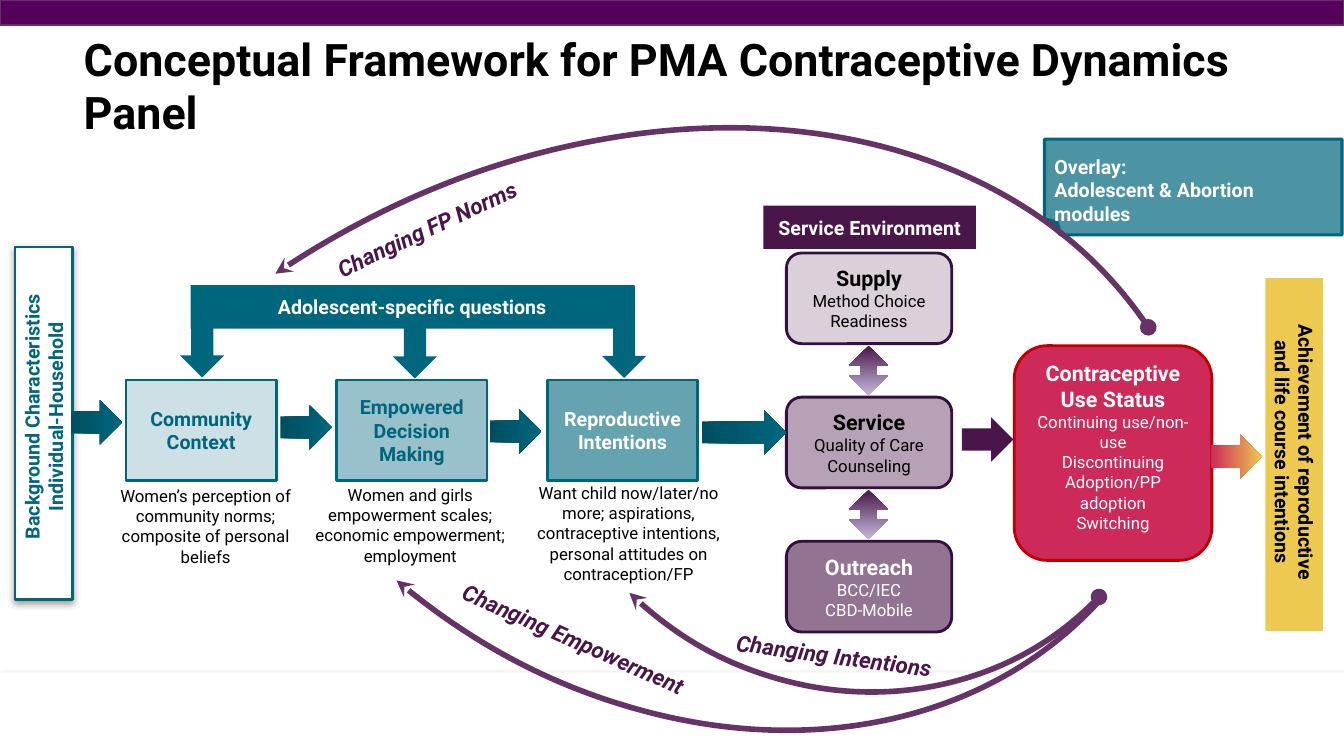
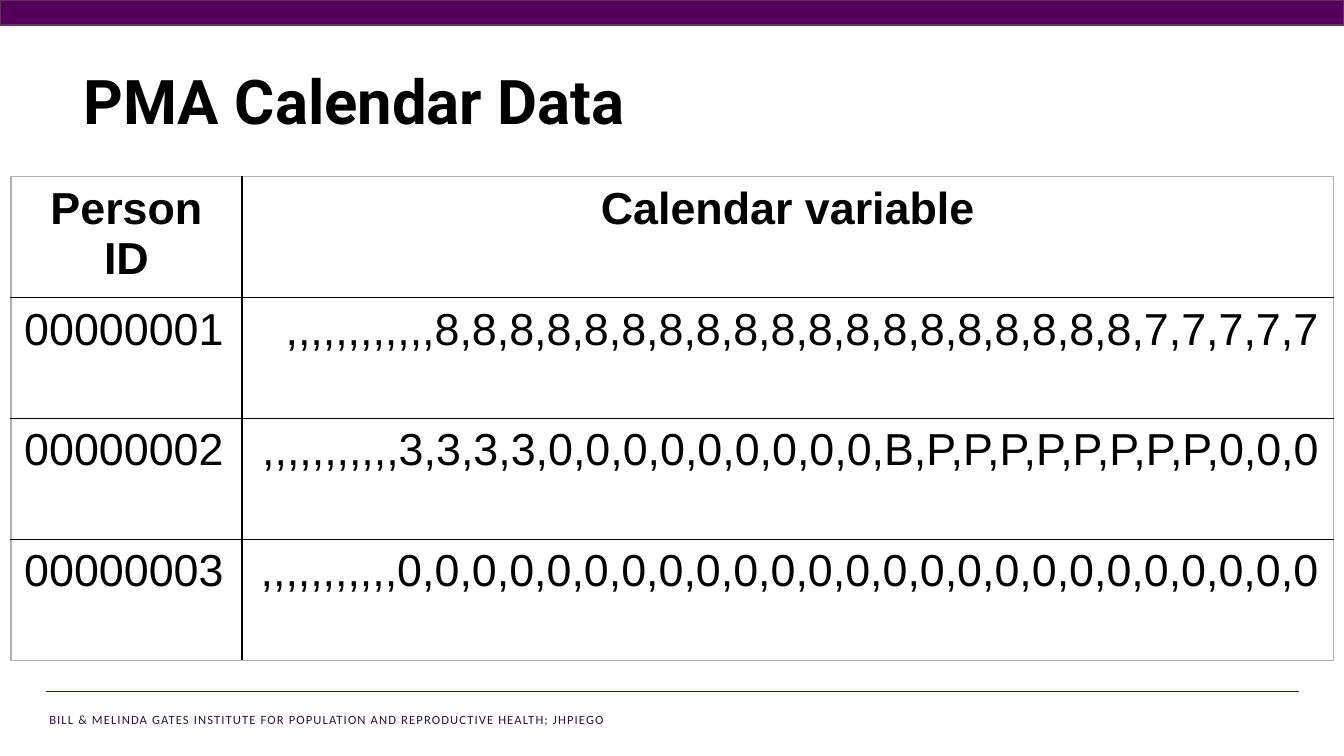
import lxml.etree
import pptx
import pptx.dml.color
import pptx.enum.shapes
import pptx.enum.text
import pptx.oxml.ns
import pptx.util

RGB = pptx.dml.color.RGBColor
KIND = pptx.enum.shapes.MSO_SHAPE
ALIGN = pptx.enum.text.PP_ALIGN
ANCHOR = pptx.enum.text.MSO_ANCHOR
Pt = pptx.util.Pt
Inches = pptx.util.Inches
qn = pptx.oxml.ns.qn

BLACK = RGB(0, 0, 0)
WHITE = RGB(0xFF, 0xFF, 0xFF)
GRAY = RGB(0xB2, 0xB2, 0xB2)
BAND = RGB(0x55, 0x01, 0x5B)
RIM = RGB(0x65, 0x31, 0x65)
TEAL = RGB(0x00, 0x66, 0x7D)
DEEP = RGB(0x00, 0x4E, 0x60)
PLUM = RGB(0x4A, 0x16, 0x4A)
DARK = RGB(0x33, 0x0F, 0x42)
RULE = RGB(0x41, 0x10, 0x44)
LILAC = RGB(0xC3, 0xB9, 0xD9)
CURVE = RGB(0x66, 0x33, 0x66)
ROSE = RGB(0xCD, 0x29, 0x59)
RED = RGB(0xC0, 0x00, 0x00)
GOLD = RGB(0xED, 0xC9, 0x50)

STATUS = ("Contraceptive Use Status\nContinuing use/non-use\nDiscontinuing\n"
          "Adoption/PP adoption\nSwitching")
STAGES = [
    ("Community\nContext", 20, TEAL),
    ("Empowered Decision Making", 40, TEAL),
    ("Reproductive Intentions", 60, WHITE),
]
NOTES = [
    ((1.13, 4.82, 1.82, 0.82),
     "Women’s perception of community norms; composite of personal\nbeliefs"),
    ((3.02, 4.81, 2.1, 0.67),
     "Women and girls empowerment scales; economic empowerment; employment"),
    ((5.15, 4.79, 2.17, 0.67),
     "Want child now/later/no more; aspirations, contraceptive intentions, "
     "personal attitudes on contraception/FP"),
]
CARE = [
    ("Supply\nMethod Choice\nReadiness", 20, BLACK),
    ("Service\nQuality of Care\nCounseling", 40, BLACK),
    ("Outreach\nBCC/IEC\nCBD-Mobile", 60, WHITE),
]
FLOWS = [
    ((0.7, 3.97, 0.51, 0.44), (DEEP, TEAL)),
    ((2.78, 4.02, 0.51, 0.44), (DEEP, TEAL)),
    ((4.86, 4.06, 0.51, 0.44), (DEEP, TEAL)),
    ((6.96, 4.07, 0.84, 0.44), (DEEP, TEAL)),
    ((9.54, 4.14, 0.51, 0.44), PLUM),
    ((12.01, 4.31, 0.51, 0.44), (ROSE, GOLD)),
]
DROPS = [(1.69, 3.21, 0.63, 0.44), (3.86, 3.28, 0.51, 0.44), (5.73, 3.07, 0.92, 0.44)]
LABELS = [
    ("Changing FP Norms", (2.98, 2.13, 2.55, 0.37), 334.9),
    ("Changing Empowerment", (4.38, 6.2, 2.56, 0.4), 23.9),
    ("Changing Intentions", (7.15, 6.37, 2.24, 0.3), 7.8),
]
SIDES = [
    ("Background Characteristics\nIndividual-Household", (-1.1, 3.85, 3.07, 0.57), 270, TEAL),
    ("Achievement of reproductive and life course intentions",
     (11.3, 4.2, 3.07, 0.57), 90, BLACK),
]
ROWS = [
    ("Person ID", "Calendar variable"),
    ("00000001", ",,,,,,,,,,,,8,8,8,8,8,8,8,8,8,8,8,8,8,8,8,8,8,8,8,7,7,7,7,7"),
    ("00000002", ",,,,,,,,,,,3,3,3,3,0,0,0,0,0,0,0,0,0,B,P,P,P,P,P,P,P,P,0,0,0"),
    ("00000003", ",,,,,,,,,,,0,0,0,0,0,0,0,0,0,0,0,0,0,0,0,0,0,0,0,0,0,0,0,0,0"),
]
CREDIT = "BILL & MELINDA GATES INSTITUTE FOR POPULATION AND REPRODUCTIVE HEALTH; JHPIEGO"


def node(top, tag, **attrs):
    return lxml.etree.SubElement(top, qn(tag), attrs)


def place(at):
    return [Inches(n) for n in at]


def write(frame, text, size=14, rest=None, color=BLACK, bold=True, slant=False,
          font="Roboto", align=ALIGN.CENTER, space=None):
    frame.text = text
    for i, para in enumerate(frame.paragraphs):
        para.alignment = align
        for run in para.runs:
            face = run.font
            face.name = font
            face.size = Pt(rest if i and rest else size)
            face.bold = bold and not (i and rest)
            face.italic = slant
            face.color.rgb = color
            if space:
                run.font._element.set("spc", space)


def inset(frame, left, top, right, low):
    frame.margin_left, frame.margin_top = Inches(left), Inches(top)
    frame.margin_right, frame.margin_bottom = Inches(right), Inches(low)


def draw(slide, kind, at, fill=None, alpha=None, line=None, width=2, turn=0,
         angle=0, shade=False, text=None, anchor=ANCHOR.MIDDLE, **style):
    shape = slide.shapes.add_shape(kind, *place(at))
    shape.rotation = turn
    shape.shadow.inherit = False
    if fill is None:
        shape.fill.background()
    elif isinstance(fill, RGB):
        shape.fill.solid()
        shape.fill.fore_color.rgb = fill
    else:
        shape.fill.gradient()
        shape.fill.gradient_angle = angle
        for stop, color, spot in zip(shape.fill.gradient_stops, fill, (0, 1)):
            stop.color.rgb = color
            stop.position = spot
    props = shape.element.spPr
    if alpha:
        node(props.find(qn("a:solidFill"))[0], "a:alpha", val=str(alpha * 1000))
    if line:
        shape.line.color.rgb = line
        shape.line.width = Pt(width)
    else:
        shape.line.fill.background()
    if shade:
        glow = node(props.find(qn("a:effectLst")), "a:outerShdw", blurRad=str(Pt(5)),
                    dist=str(Pt(2)), dir="5400000", rotWithShape="0")
        node(node(glow, "a:srgbClr", val="808080"), "a:alpha", val="75000")
    if text:
        shape.text_frame.word_wrap = True
        shape.text_frame.vertical_anchor = anchor
        write(shape.text_frame, text, **style)
    return shape


def label(slide, at, text, turn=0, wrap=True, pad=True, **style):
    box = slide.shapes.add_textbox(*place(at))
    box.rotation = turn
    box.text_frame.word_wrap = wrap
    if not pad:
        inset(box.text_frame, 0, 0, 0, 0)
    write(box.text_frame, text, **style)


def curve(slide, at, turn, head=None, tail=None):
    arc = draw(slide, KIND.ARC, at, line=CURVE, width=4, turn=turn)
    line = arc.element.spPr.find(qn("a:ln"))
    for tag, end in (("a:headEnd", head), ("a:tailEnd", tail)):
        if end:
            node(line, tag, type=end)


def start(deck, text, top, size):
    slide = deck.slides.add_slide(deck.slide_layouts[5])
    title = slide.shapes.title
    title.left, title.top, title.width, title.height = place((0.74, top, 11.84, 1.22))
    frame = title.text_frame
    frame.word_wrap = True
    frame.auto_size = pptx.enum.text.MSO_AUTO_SIZE.NONE
    frame.vertical_anchor = ANCHOR.TOP
    inset(frame, 0.09, 0.09, 0.09, 0.05)
    write(frame, text, size=size, align=ALIGN.LEFT)
    return slide


def share(deck, slide):
    band = draw(slide, KIND.RECTANGLE, (0, 0, 13.33, 0.25), BAND, line=RIM, width=1)
    band.element.nvSpPr.cNvPr.set("id", "20")
    deck.slide_layouts[5].shapes.element.append(band.element)


def model(slide):
    draw(slide, KIND.RECTANGLE, (0.15, 2.45, 0.57, 3.5), WHITE, line=TEAL, shade=True)
    draw(slide, KIND.ROUNDED_RECTANGLE, (10.06, 3.43, 1.96, 2.13), ROSE, line=RED,
         text=STATUS, anchor=ANCHOR.TOP, size=15.3, rest=12, color=WHITE)
    for at, text in NOTES:
        label(slide, at, text, pad=False, size=12, bold=False)
    for i, (text, alpha, color) in enumerate(CARE):
        draw(slide, KIND.ROUNDED_RECTANGLE, (7.8, 2.51 + 1.43 * i, 1.64, 0.9), PLUM,
             alpha=alpha, line=DARK, text=text, size=15.3, rest=12, color=color)
    for i in range(len(CARE) - 1):
        link = draw(slide, KIND.UP_DOWN_ARROW, (8.42, 3.43 + 1.43 * i, 0.39, 0.49),
                    (PLUM, LILAC), angle=270)
        link.adjustments[0], link.adjustments[1] = 0.35, 0.42
    fold = draw(slide, KIND.FOLDED_CORNER, (10.36, 1.38, 2.95, 0.95), TEAL, alpha=70,
                line=TEAL, width=2.25, text="Overlay:\nAdolescent & Abortion modules",
                color=WHITE, align=ALIGN.LEFT)
    fold.element.spPr.xfrm.set("flipH", "1")
    inset(fold.text_frame, 0.1, 0.27, 0.1, 0.05)
    draw(slide, KIND.RECTANGLE, (0, 6.67, 13.33, 0.83), WHITE, shade=True)
    for i, (text, alpha, color) in enumerate(STAGES):
        draw(slide, KIND.RECTANGLE, (1.25 + 2.09 * i, 3.77, 1.49, 1), TEAL, alpha=alpha,
             line=TEAL, text=text, color=color)
    for at in DROPS:
        draw(slide, KIND.RIGHT_ARROW, at, TEAL, turn=90)
    for at, fill in FLOWS:
        draw(slide, KIND.RIGHT_ARROW, at, fill)
    draw(slide, KIND.RECTANGLE, (1.89, 2.83, 4.4, 0.43), TEAL,
         text="Adolescent-specific questions", color=WHITE)
    draw(slide, KIND.RECTANGLE, (12.55, 2.76, 0.57, 3.5), GOLD)
    for text, at, turn, color in SIDES:
        label(slide, at, text, turn=turn, color=color)
    curve(slide, (-1.22, 1.82, 13.78, 10.54), 326.1, "stealth", "oval")
    draw(slide, KIND.RECTANGLE, (7.57, 2.04, 2.11, 0.43), PLUM,
         text="Service Environment", color=WHITE)
    curve(slide, (2.34, -3.13, 8.95, 10.93), 130.1, tail="stealth")
    for text, at, turn in LABELS:
        label(slide, at, text, turn=turn, wrap=False, pad=False, size=16,
              color=PLUM, slant=True)
    draw(slide, KIND.RECTANGLE, (10.92, 5.7, 0.11, 0.33), WHITE)
    curve(slide, (5.26, 0.19, 6.4, 6.77), 133.9, "oval", "stealth")


def grid(slide):
    last = len(ROWS) - 1
    table = slide.shapes.add_table(len(ROWS), 2, *place((0.11, 1.75, 13.12, 4.8))).table
    table.first_row = table.horz_banding = False
    for col, width in zip(table.columns, (2.29, 10.83)):
        col.width = Inches(width)
    for r, row in enumerate(ROWS):
        for c, text in enumerate(row):
            cell = table.cell(r, c)
            inset(cell, 0.13, 0.07, 0.13, 0.07)
            align = (ALIGN.LEFT, ALIGN.RIGHT)[c] if r else ALIGN.CENTER
            write(cell.text_frame, text, size=32, bold=r == 0, font="Arial", align=align)
            props = cell._tc.get_or_add_tcPr()
            edges = {"a:lnL": c == 0, "a:lnR": c == 1, "a:lnT": r == 0, "a:lnB": r == last}
            for tag, rim in edges.items():
                fill = node(node(props, tag, w=str(Pt(1))), "a:solidFill")
                node(fill, "a:srgbClr", val=str(GRAY if rim else BLACK))
            cell.fill.background()


def credit(slide):
    label(slide, (0.39, 7.01, 7.38, 0.25), CREDIT, size=9, color=DARK, bold=False,
          font="Calibri", align=ALIGN.LEFT, space="80")
    rule = slide.shapes.add_connector(pptx.enum.shapes.MSO_CONNECTOR.STRAIGHT,
                                      *place((0.46, 6.86, 12.88, 6.86)))
    rule.line.color.rgb = RULE
    rule.line.width = Pt(1.25)
    node(rule.element.spPr, "a:effectLst")


def main():
    deck = pptx.Presentation()
    deck.slide_width, deck.slide_height = place((13.33, 7.5))
    first = start(deck, "Conceptual Framework for PMA Contraceptive Dynamics Panel", 0.22, 32)
    share(deck, first)
    model(first)
    second = start(deck, "PMA Calendar Data", 0.53, 44)
    grid(second)
    credit(second)
    deck.save("out.pptx")


if __name__ == "__main__":
    main()
